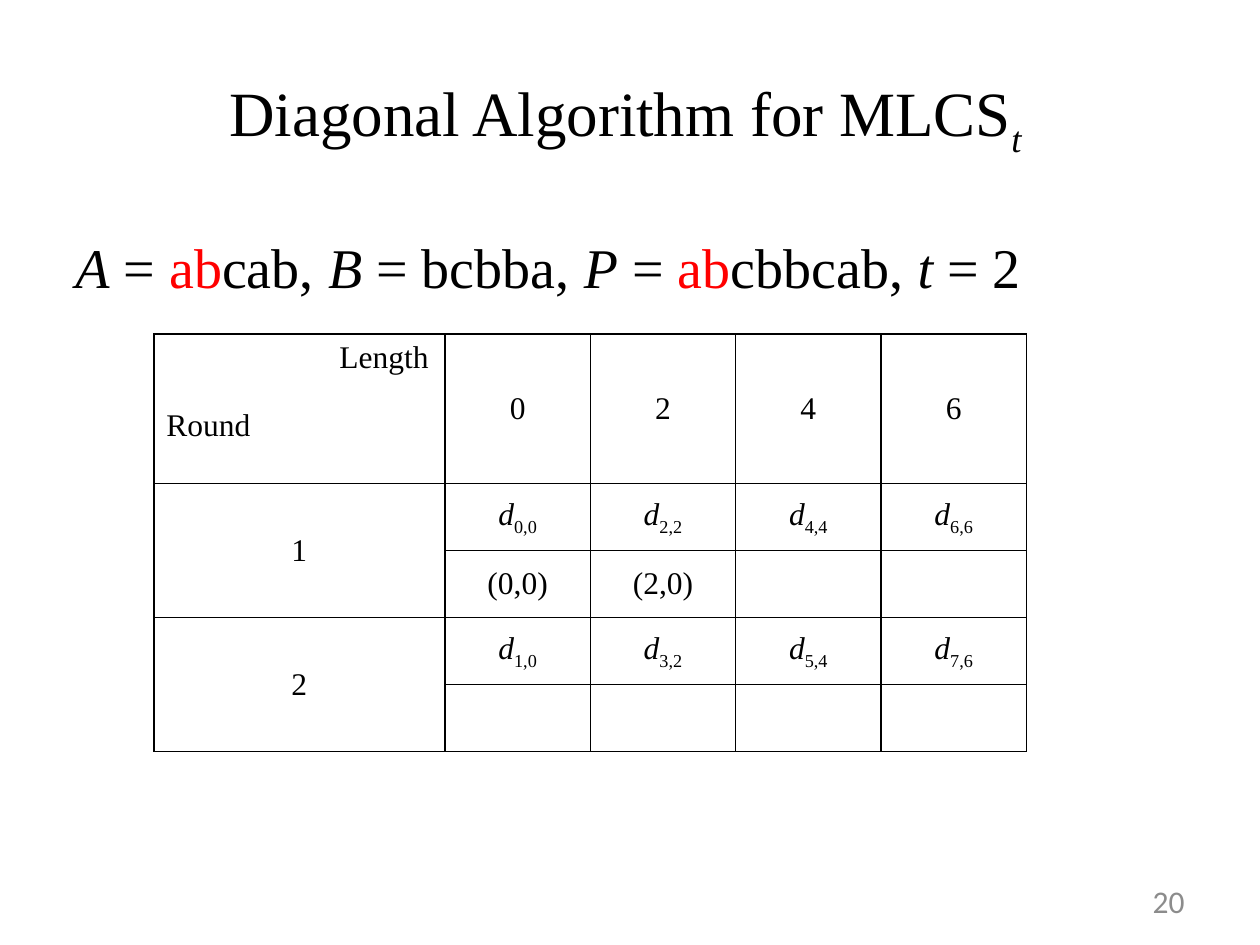
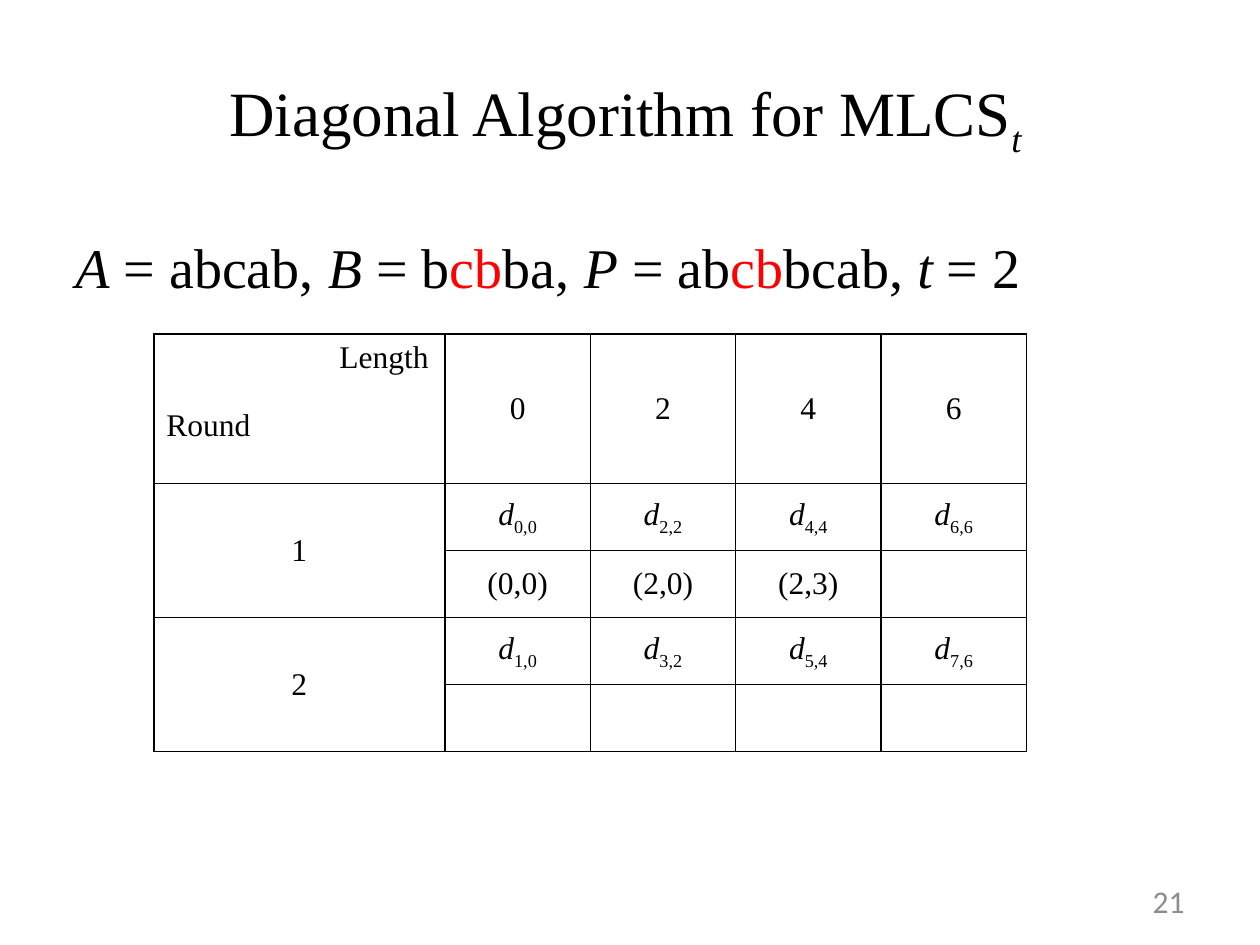
"""Build two slides that trace the diagonal algorithm for MLCSt."""
from pptx import Presentation
from pptx.dml.color import RGBColor
from pptx.enum.text import MSO_ANCHOR as Anchor, PP_ALIGN as Align
from pptx.oxml import parse_xml
from pptx.oxml.ns import nsdecls
from pptx.util import Cm, Pt

BLACK = RGBColor(0, 0, 0)
RED = RGBColor(255, 0, 0)
GRAY = RGBColor(0x8C, 0x8C, 0x8C)
SERIF = "Times New Roman"
SANS = "Calibri"
CELL_SIZE = 18
LENGTHS = (0, 2, 4, 6)
ROUNDS = (1, 2)
MARK_WIDTH = 2
SEQUENCES = {"A": "abcab", "B": "bcbba", "P": "abcbbcab"}


def add_run(paragraph, text, size, color=BLACK, font=SERIF, italic=False, subscript=False):
    """Append one formatted run."""
    run = paragraph.add_run()
    run.text = text
    run.font.size = Pt(size)
    run.font.name = font
    run.font.color.rgb = color
    run.font.italic = italic
    if subscript:
        run.font._element.set("baseline", "-25000")


def add_text_box(slide, left, top, width, height, align=Align.LEFT, anchor=Anchor.MIDDLE):
    """Add a wrapping text box and return its first paragraph."""
    frame = slide.shapes.add_textbox(Cm(left), Cm(top), Cm(width), Cm(height)).text_frame
    frame.word_wrap = True
    frame.vertical_anchor = anchor
    paragraph = frame.paragraphs[0]
    paragraph.alignment = align
    return paragraph


def add_title(slide):
    """Add the shared title."""
    paragraph = add_text_box(slide, 1.27, 0.76, 22.86, 3.18, Align.CENTER)
    add_run(paragraph, "Diagonal Algorithm for MLCS", 36)
    add_run(paragraph, "t ", 36, italic=True, subscript=True)


def add_slide_number(slide, number):
    """Add the number at the bottom right."""
    paragraph = add_text_box(slide, 18.21, 17.65, 5.92, 1.02, Align.RIGHT)
    add_run(paragraph, str(number), CELL_SIZE, GRAY, SANS)


def add_sequences(slide, marks):
    """Write the sequences, with the matched letters from each mark onward in red."""
    paragraph = add_text_box(slide, 1.27, 4.57, 22.86, 12.45, anchor=Anchor.TOP)
    for name, letters in SEQUENCES.items():
        add_run(paragraph, name, 32, italic=True)
        if name in marks:
            start = marks[name]
            end = start + MARK_WIDTH
            add_run(paragraph, f" = {letters[:start]}", 32)
            add_run(paragraph, letters[start:end], 32, RED)
            add_run(paragraph, f"{letters[end:]}, ", 32)
        else:
            add_run(paragraph, f" = {letters}, ", 32)
    add_run(paragraph, "t", 32, italic=True)
    add_run(paragraph, " = 2", 32)


def format_cell(cell):
    """Clear the fill and draw a thin black border on all sides."""
    cell.fill.background()
    properties = cell._tc.get_or_add_tcPr()
    for index, side in enumerate(("lnL", "lnR", "lnT", "lnB")):
        properties.insert(index, parse_xml(
            f'<a:{side} {nsdecls("a")} w="12700"><a:solidFill>'
            f'<a:srgbClr val="{BLACK}"/></a:solidFill></a:{side}>'))


def fill_cell(cell, text, subscript=""):
    """Write centred text; a symbol with a subscript is italic."""
    cell.vertical_anchor = Anchor.MIDDLE
    paragraph = cell.text_frame.paragraphs[0]
    paragraph.alignment = Align.CENTER
    add_run(paragraph, text, CELL_SIZE, italic=bool(subscript))
    if subscript:
        add_run(paragraph, subscript, CELL_SIZE, subscript=True)


def fill_corner(cell):
    """Label the two axes of the table in its corner cell."""
    cell.margin_right = Cm(0.33)
    length = cell.text_frame.paragraphs[0]
    length.alignment = Align.RIGHT
    add_run(length, "Length", CELL_SIZE)
    round_label = cell.text_frame.add_paragraph()
    round_label.space_before = Pt(19)
    add_run(round_label, "Round", CELL_SIZE)


def add_round_table(slide, pairs):
    """Add the table of diagonals, with the pairs found in round one."""
    row_count = 1 + 2 * len(ROUNDS)
    table = slide.shapes.add_table(
        row_count, 1 + len(LENGTHS), Cm(3.1), Cm(6.73), Cm(17.6), Cm(8.41)).table
    table.first_row = table.horz_banding = False
    for index, column in enumerate(table.columns):
        column.width = Cm(2.93 if index else 5.87)
    for index, row in enumerate(table.rows):
        row.height = Cm(1.35 if index else 3.02)
    for cell in table.iter_cells():
        format_cell(cell)

    fill_corner(table.cell(0, 0))
    for column, length in enumerate(LENGTHS, 1):
        fill_cell(table.cell(0, column), str(length))
    for number in ROUNDS:
        top = 2 * number - 1
        table.cell(top, 0).merge(table.cell(top + 1, 0))
        fill_cell(table.cell(top, 0), str(number))
        for column, length in enumerate(LENGTHS, 1):
            fill_cell(table.cell(top, column), "d", f"{length + number - 1},{length}")
    for column, pair in enumerate(pairs, 1):
        fill_cell(table.cell(2, column), pair)


def main():
    """Build and save the presentation."""
    presentation = Presentation()
    presentation.slide_width, presentation.slide_height = Cm(25.4), Cm(19.05)
    steps = (
        (20, {"A": 0, "P": 0}, ("(0,0)", "(2,0)")),
        (21, {"B": 1, "P": 2}, ("(0,0)", "(2,0)", "(2,3)")),
    )
    for number, marks, pairs in steps:
        slide = presentation.slides.add_slide(presentation.slide_layouts[6])
        add_title(slide)
        add_sequences(slide, marks)
        add_slide_number(slide, number)
        add_round_table(slide, pairs)
    presentation.save("out.pptx")


if __name__ == "__main__":
    main()
